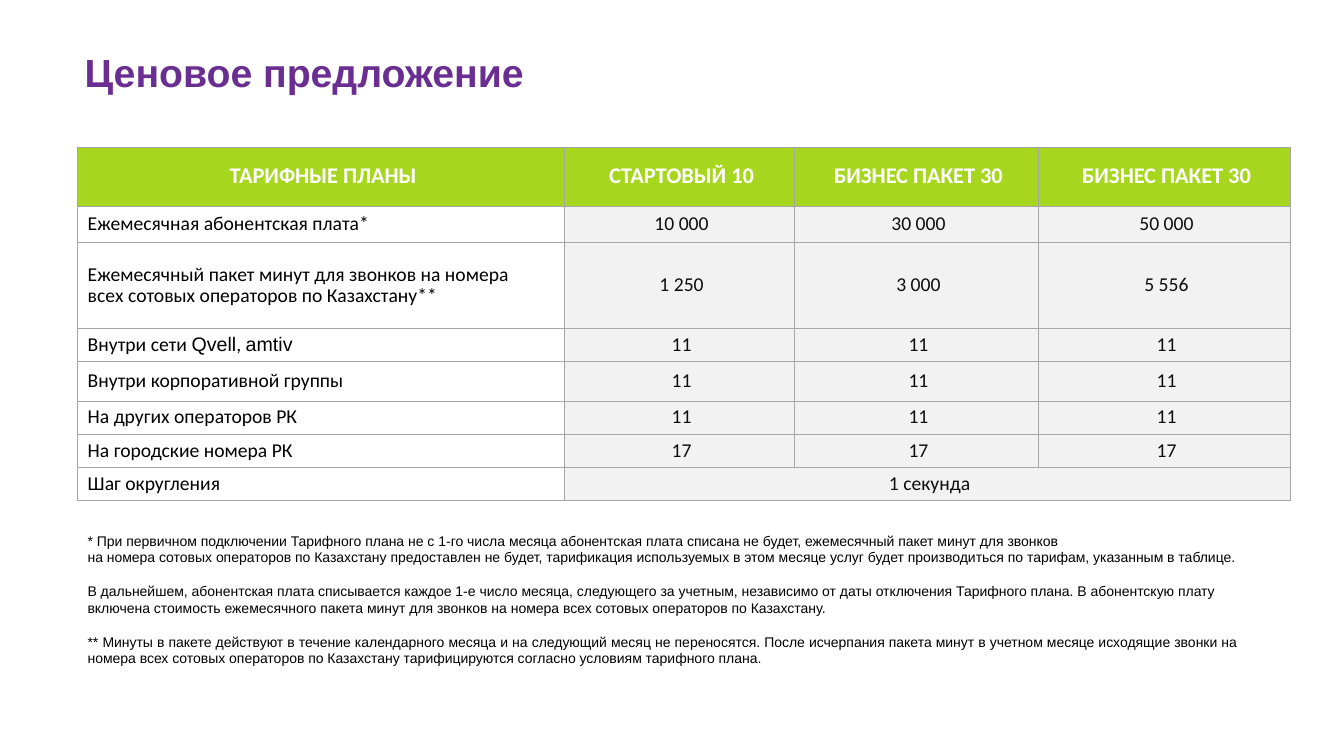
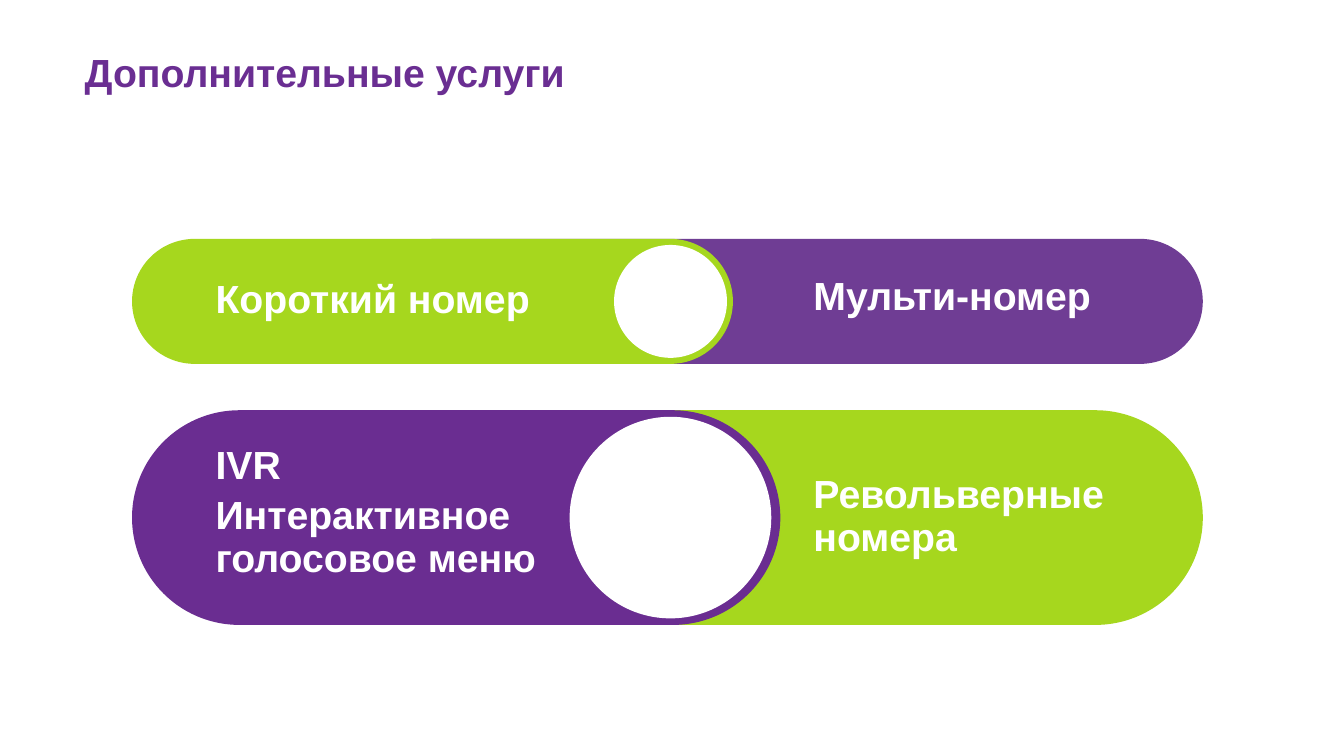
"""Builds two slides: a tariff table with notes and a set of paired service pills."""
from lxml import etree
from pptx import Presentation
from pptx.dml.color import RGBColor
from pptx.enum.shapes import MSO_SHAPE
from pptx.enum.text import MSO_ANCHOR, MSO_AUTO_SIZE, PP_ALIGN
from pptx.oxml.ns import qn
from pptx.util import Inches, Pt

LEFT, CENTER, JUSTIFY = PP_ALIGN.LEFT, PP_ALIGN.CENTER, PP_ALIGN.JUSTIFY
MIDDLE, BOTTOM = MSO_ANCHOR.MIDDLE, MSO_ANCHOR.BOTTOM
PILL, CIRCLE = MSO_SHAPE.ROUNDED_RECTANGLE, MSO_SHAPE.OVAL
NO_AUTOFIT = MSO_AUTO_SIZE.NONE

PURPLE, DEEP_PURPLE, SOFT_PURPLE = "6A2E92", "6A2D91", "6F3D94"
GREEN, WHITE, BLACK = "A6D71E", "FFFFFF", "000000"
PALE, GREY, INK = "F2F2F2", "A6A6A6", "0D0D0D"
TITLE_ONLY = 5

PRICE_TITLE = "Ценовое предложение"
PLANS = ["ТАРИФНЫЕ ПЛАНЫ", "СТАРТОВЫЙ 10", "БИЗНЕС ПАКЕТ 30", "БИЗНЕС ПАКЕТ 30"]
TARIFFS = [
    (0.36, ["Ежемесячная абонентская плата*"], ["10 000", "30 000", "50 000"]),
    (0.85, ["Ежемесячный пакет минут для звонков на номера\v"
            "всех сотовых операторов по Казахстану**"], ["1 250", "3 000", "5 556"]),
    (0.33, ["Внутри сети ", "Qvell", ", ", "amtiv"], ["11"] * 3),
    (0.39, ["Внутри корпоративной группы"], ["11"] * 3),
    (0.33, ["На других операторов РК"], ["11"] * 3),
    (0.33, ["На городские номера РК"], ["17"] * 3),
    (0.33, ["Шаг округления"], ["1 секунда"]),
]
HEADER_HEIGHT = 0.59
COLUMN_WIDTHS = [4.83, 2.28, 2.42, 2.5]
NOTES = [
    ("* При первичном подключении Тарифного плана не с 1-го числа месяца абонентская плата "
     "списана не будет, ежемесячный пакет минут для звонков\v"
     "на номера сотовых операторов по Казахстану предоставлен не будет, тарификация "
     "используемых в этом месяце услуг будет производиться по тарифам, указанным в таблице.",
     LEFT),
    ("В дальнейшем, абонентская плата списывается каждое 1-е число месяца, следующего за "
     "учетным, независимо от даты отключения Тарифного плана. В абонентскую плату включена "
     "стоимость ежемесячного пакета минут для звонков на номера всех сотовых операторов "
     "по Казахстану.", LEFT),
    ("** Минуты в пакете действуют в течение календарного месяца и на следующий месяц не "
     "переносятся. После исчерпания пакета минут в учетном месяце исходящие звонки на номера "
     "всех сотовых операторов по Казахстану тарифицируются согласно условиям тарифного плана.",
     JUSTIFY),
]

SERVICES_TITLE = "Дополнительные услуги"
SERVICE_ROWS = [
    {"top": 2.37, "height": 1.24, "circle": 1.12,
     "right": (3.7, SOFT_PURPLE, ["Мульти-номер"], 2.73, 0.48),
     "left": (7.27, GREEN, ["Короткий номер"], 2.6, 0.64)},
    {"top": 4.07, "height": 2.13, "circle": 2,
     "right": (3.87, GREEN, ["Револьверные номера"], 4.36, 1.24),
     "left": (7.74, DEEP_PURPLE, ["IVR", "Интерактивное голосовое меню"], 4.36, 1.45)},
]
PILLS_LEFT, PILLS_RIGHT, CIRCLE_CENTER = 1.31, 11.93, 6.65
LEFT_LABEL, RIGHT_LABEL, LABEL_WIDTH = 2.04, 7.97, 4.1


def rgb(value):
    return RGBColor.from_string(value)


def set_font(paragraph, name, size, color, bold=False):
    font = paragraph.font
    font.name, font.size, font.bold = name, Pt(size), bold
    font.color.rgb = rgb(color)


def set_heading(frame, lines, color):
    frame.word_wrap = True
    frame.auto_size = NO_AUTOFIT
    frame.vertical_anchor = BOTTOM
    frame.text = "\n".join(lines)
    for paragraph in frame.paragraphs:
        paragraph.alignment = LEFT
        paragraph.line_spacing = 0.9
        paragraph.space_before, paragraph.space_after = Pt(0), Pt(6)
        set_font(paragraph, "Arial", 28, color, True)


def add_titled_slide(deck, text):
    slide = deck.slides.add_slide(deck.slide_layouts[TITLE_ONLY])
    title = slide.shapes.title
    title.left, title.top = Inches(0.74), Inches(0.36)
    title.width, title.height = Inches(6.44), Inches(0.64)
    set_heading(title.text_frame, [text], PURPLE)
    return slide


def add_borders(cell):
    properties = cell._tc.get_or_add_tcPr()
    for position, side in enumerate(("a:lnL", "a:lnR", "a:lnT", "a:lnB")):
        line = etree.Element(qn(side), w=str(Pt(0.75)))
        fill = etree.SubElement(line, qn("a:solidFill"))
        etree.SubElement(fill, qn("a:srgbClr"), val=GREY)
        properties.insert(position, line)


def fill_cell(cell, parts, fill, color, size=14, bold=False, alignment=CENTER):
    cell.fill.solid()
    cell.fill.fore_color.rgb = rgb(fill)
    cell.vertical_anchor = MIDDLE
    cell.margin_left = Inches(0.1)
    cell.margin_right = cell.margin_top = cell.margin_bottom = Inches(0.06)
    paragraph = cell.text_frame.paragraphs[0]
    if len(parts) == 1:
        paragraph.text = parts[0]
    else:
        for index, part in enumerate(parts):
            run = paragraph.add_run()
            run.text = part
            run.font.name = "Arial" if index % 2 else "Calibri"
    paragraph.alignment = alignment
    paragraph.line_spacing = 0.86
    set_font(paragraph, "Calibri", size, color, bold)


def add_tariff_table(slide):
    heights = [HEADER_HEIGHT] + [height for height, _, _ in TARIFFS]
    table = slide.shapes.add_table(
        len(heights), len(PLANS), Inches(0.77), Inches(1.46),
        Inches(sum(COLUMN_WIDTHS)), Inches(sum(heights))).table
    table.first_row = table.horz_banding = False
    for column, width in zip(table.columns, COLUMN_WIDTHS):
        column.width = Inches(width)
    for row, height in zip(table.rows, heights):
        row.height = Inches(height)
    for column, plan in enumerate(PLANS):
        fill_cell(table.cell(0, column), [plan], GREEN, WHITE, 16, True)
    for row, (_, label, values) in enumerate(TARIFFS, 1):
        fill_cell(table.cell(row, 0), label, WHITE, BLACK, alignment=LEFT)
        for column, value in enumerate(values, 1):
            fill_cell(table.cell(row, column), [value], PALE, INK)
        if len(values) == 1:
            table.cell(row, 1).merge(table.cell(row, len(PLANS) - 1))
    for cell in table.iter_cells():
        add_borders(cell)


def add_notes(slide):
    frame = slide.shapes.add_textbox(
        Inches(0.77), Inches(5.23), Inches(11.59), Inches(1.62)).text_frame
    frame.word_wrap = True
    for index, (note, alignment) in enumerate(NOTES):
        paragraph = frame.add_paragraph() if index else frame.paragraphs[0]
        paragraph.text = note
        paragraph.alignment = alignment
        if index:
            paragraph.space_before = Pt(12)
        set_font(paragraph, "Arial", 10, BLACK)


def add_plain_shape(slide, kind, left, top, width, height, color):
    shape = slide.shapes.add_shape(
        kind, Inches(left), Inches(top), Inches(width), Inches(height))
    shape.shadow.inherit = False
    shape.fill.solid()
    shape.fill.fore_color.rgb = rgb(color)
    shape.line.fill.background()
    if kind == PILL:
        shape.adjustments[0] = 0.5


def add_label(slide, lines, left, top, height):
    label = slide.shapes.add_textbox(
        Inches(left), Inches(top), Inches(LABEL_WIDTH), Inches(height))
    set_heading(label.text_frame, lines, WHITE)


def add_service_row(slide, row):
    top, height, diameter = row["top"], row["height"], row["circle"]
    right_start, right_color, *right_label = row["right"]
    left_end, left_color, *left_label = row["left"]
    for start, end, color in ((right_start, PILLS_RIGHT, right_color),
                              (PILLS_LEFT, left_end, left_color)):
        add_plain_shape(slide, PILL, start, top, end - start, height, color)
    add_plain_shape(slide, CIRCLE, CIRCLE_CENTER - diameter / 2,
                    top + (height - diameter) / 2, diameter, diameter, WHITE)
    for left, (lines, label_top, label_height) in ((LEFT_LABEL, left_label),
                                                   (RIGHT_LABEL, right_label)):
        add_label(slide, lines, left, label_top, label_height)


def main():
    deck = Presentation()
    deck.slide_width, deck.slide_height = Inches(13.33), Inches(7.5)
    prices = add_titled_slide(deck, PRICE_TITLE)
    add_tariff_table(prices)
    add_notes(prices)
    services = add_titled_slide(deck, SERVICES_TITLE)
    for row in SERVICE_ROWS:
        add_service_row(services, row)
    deck.save("out.pptx")


if __name__ == "__main__":
    main()
